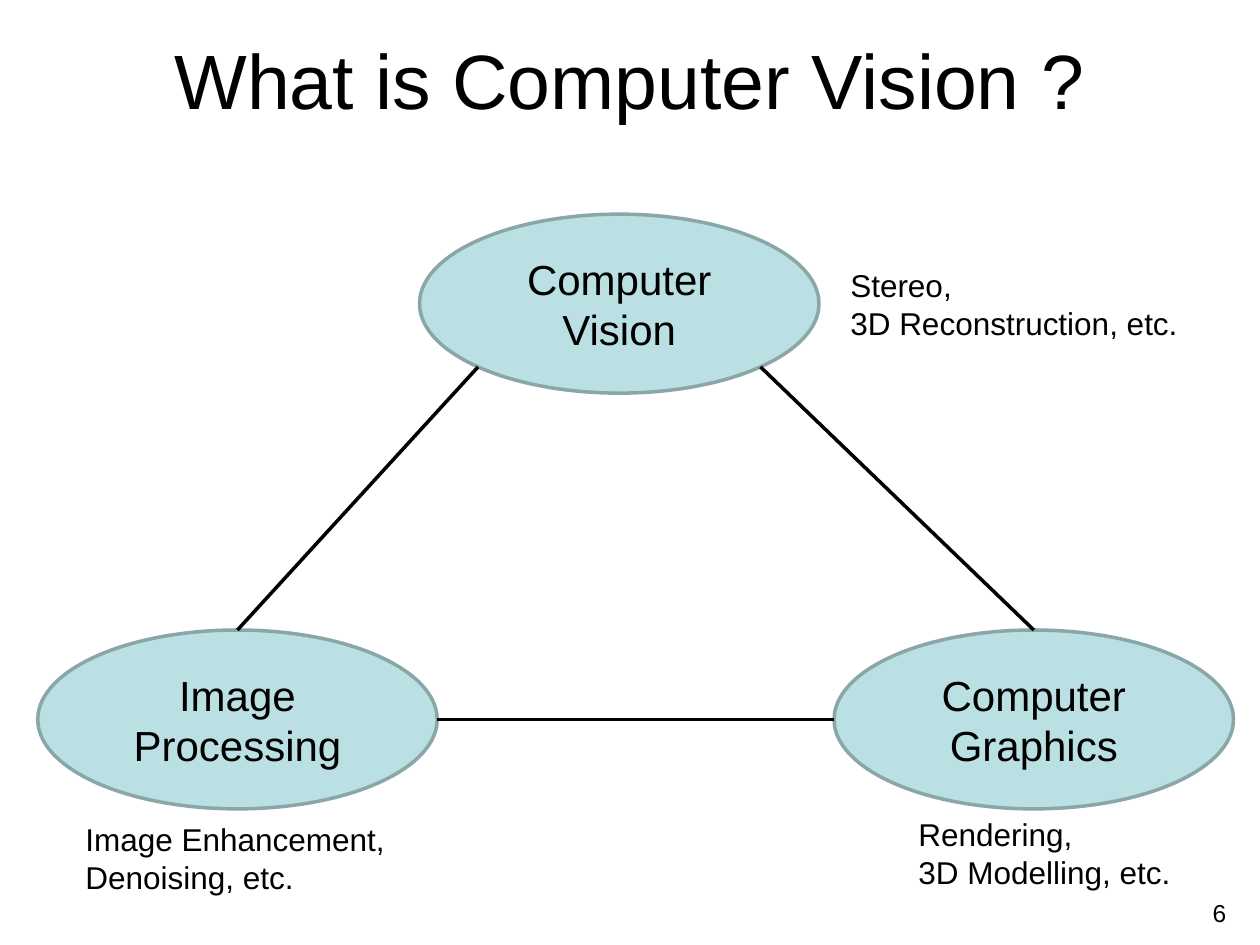
import math

import pptx
import pptx.dml.color
import pptx.enum.shapes
import pptx.enum.text
import pptx.oxml
import pptx.oxml.ns
import pptx.util

CELL = 0.1
FIELD_WIDTH, FIELD_HEIGHT = 31.7, 14.2
ALIGN = pptx.enum.text.PP_ALIGN
ANCHOR = pptx.enum.text.MSO_ANCHOR


def grid(*cells):
    return [pptx.util.Inches(cell * CELL) for cell in cells]


def colour(hex_code):
    return pptx.dml.color.RGBColor.from_string(hex_code)


def write(frame, text, size=18, align=ALIGN.LEFT, anchor=ANCHOR.TOP, wrap=True):
    frame.word_wrap = wrap
    frame.vertical_anchor = anchor
    frame.text = text
    for paragraph in frame.paragraphs:
        paragraph.alignment = align
        paragraph.font.name = "Arial"
        paragraph.font.size = pptx.util.Pt(size)
        paragraph.font.color.rgb = colour("000000")


def add_label(slide, area, text, **text_format):
    label = slide.shapes.add_textbox(*grid(*area))
    write(label.text_frame, text, **text_format)


def add_field(slide, left, top, name):
    field = slide.shapes.add_shape(
        pptx.enum.shapes.MSO_SHAPE.OVAL, *grid(left, top, FIELD_WIDTH, FIELD_HEIGHT)
    )
    field.shadow.inherit = False
    field.fill.solid()
    field.fill.fore_color.rgb = colour("BBE0E3")
    field.line.color.rgb = colour("8AA6A8")
    field.line.width = pptx.util.Pt(2)
    write(field.text_frame, name, size=24, align=ALIGN.CENTER, anchor=ANCHOR.MIDDLE)


def rim_point(corner, degrees):
    left, top = corner
    angle = math.radians(degrees)
    return (
        left + FIELD_WIDTH / 2 * (1 + math.cos(angle)),
        top + FIELD_HEIGHT / 2 * (1 - math.sin(angle)),
    )


def add_link(slide, start, end):
    link = slide.shapes.add_connector(
        pptx.enum.shapes.MSO_CONNECTOR.STRAIGHT, *grid(*start, *end)
    )
    link.line.color.rgb = colour("000000")
    link.line.width = pptx.util.Pt(2)
    properties = link._element.spPr
    properties.append(pptx.oxml.parse_xml(f"<a:effectLst {pptx.oxml.ns.nsdecls('a')}/>"))


def main():
    deck = pptx.Presentation()
    deck.slide_width, deck.slide_height = grid(100, 75)
    slide = deck.slides.add_slide(deck.slide_layouts[6])

    add_label(slide, (5, 0, 90, 12.5), "What is Computer Vision ?",
              size=44, align=ALIGN.CENTER, anchor=ANCHOR.MIDDLE)
    add_label(slide, (75, 70.8, 23.3, 5.2), "6", size=14, align=ALIGN.RIGHT)

    vision, processing, graphics = (33.3, 17), (3, 50), (66.2, 50)
    add_field(slide, *vision, "Computer Vision")
    add_field(slide, *processing, "Image Processing")
    add_field(slide, *graphics, "Computer Graphics")

    add_link(slide, rim_point(processing, 90), rim_point(vision, 225))
    add_link(slide, rim_point(graphics, 90), rim_point(vision, 315))
    add_link(slide, rim_point(processing, 0), rim_point(graphics, 180))

    topics = [
        ((66.5, 20.6, 28.2, 7.1), "Stereo,\n3D Reconstruction, etc."),
        ((5.8, 64.6, 26, 7.1), "Image Enhancement,\nDenoising, etc."),
        ((71.9, 64.2, 22.2, 7.1), "Rendering,\n3D Modelling, etc."),
    ]
    for area, text in topics:
        add_label(slide, area, text, wrap=False)

    deck.save("out.pptx")


if __name__ == "__main__":
    main()
